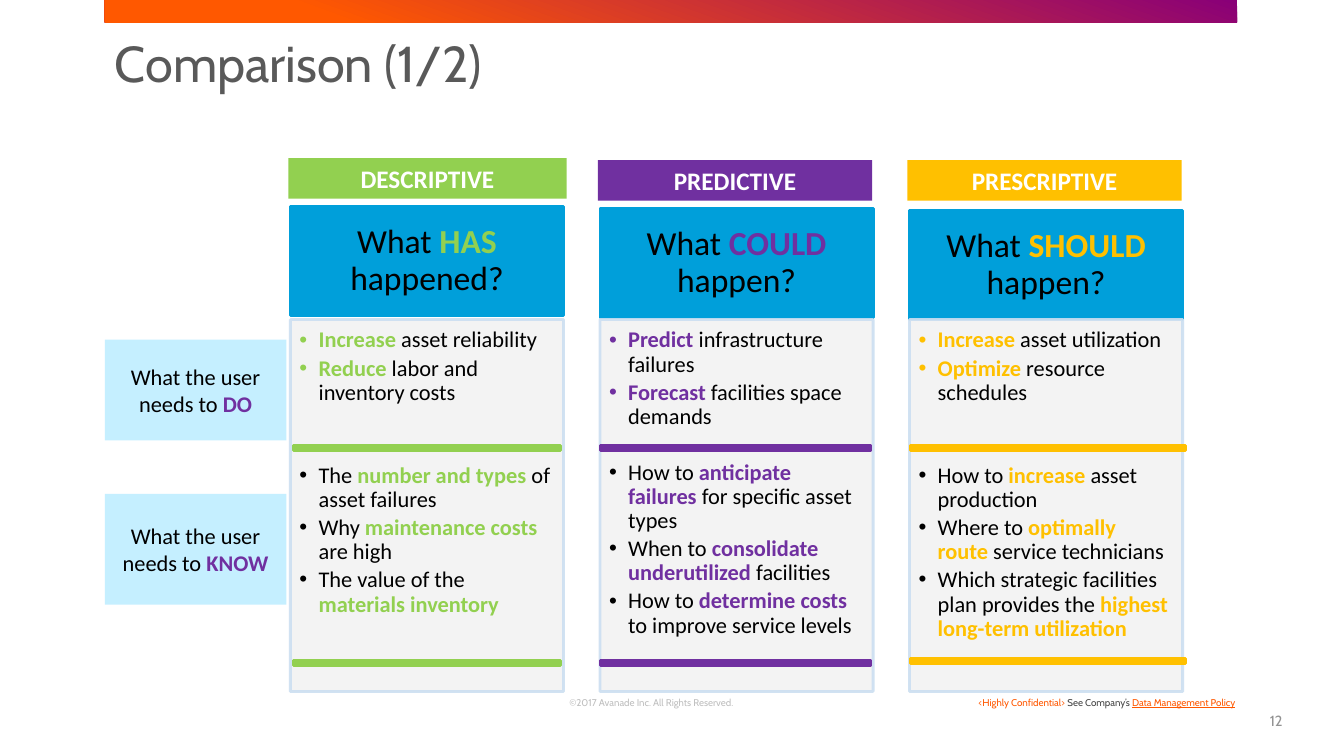
from pptx import Presentation
from pptx.dml.color import RGBColor
from pptx.enum.shapes import MSO_SHAPE
from pptx.enum.text import MSO_ANCHOR, PP_ALIGN
from pptx.oxml.ns import qn
from pptx.util import Inches, Pt
from lxml import etree

RECT = MSO_SHAPE.RECTANGLE
TOP, MIDDLE, BOTTOM = MSO_ANCHOR.TOP, MSO_ANCHOR.MIDDLE, MSO_ANCHOR.BOTTOM
LEFT, CENTER, RIGHT = PP_ALIGN.LEFT, PP_ALIGN.CENTER, PP_ALIGN.RIGHT

MARGIN, CONTENT_W = 1.04, 11.23
COL_X, COL_PITCH, COL_W = 2.88, 3.07, 2.71
PURPLE = "7030A0"

COLUMNS = [
    dict(name="DESCRIPTIVE", color="92D050", question="What *HAS* happened?",
         label=(1.57, 2.76), bar=(0.03, 2.65), bar_rows=(4.42, 6.55), gap=39,
         do=["*Increase* asset reliability", "*Reduce* labor and inventory costs"],
         know=["The *number and types* of asset failures",
               "Why *maintenance costs* are high",
               "The value of the *materials inventory*"]),
    dict(name="PREDICTIVE", color=PURPLE, question="What *COULD* happen?",
         label=(1.59, 2.72), bar=(0.01, 2.68), bar_rows=(4.42, 6.55), gap=19.5,
         do=["*Predict* infrastructure failures",
             "*Forecast* facilities space demands"],
         know=["How to *anticipate failures* for specific asset types",
               "When to *consolidate underutilized* facilities",
               "How to *determine costs* to improve service levels"]),
    dict(name="PRESCRIPTIVE", color="FFC000", question="What *SHOULD* happen?",
         label=(1.59, 2.72), bar=(0.01, 2.73), bar_rows=(4.42, 6.53), gap=39,
         do=["*Increase* asset utilization", "*Optimize* resource schedules"],
         know=["How to *increase* asset production",
               "Where to *optimally route* service technicians",
               "Which strategic facilities plan provides the "
               "*highest long-term utilization*"]),
]
USER_NEEDS = [("What the user needs to *DO*", 3.37, 1.0),
              ("What the user needs to *KNOW*", 4.9, 1.1)]


def rgb(value):
    return RGBColor.from_string(value)


def set_alpha(color_format_parent, percent):
    """Make the solid colour inside an XML element partly transparent."""
    color = color_format_parent.find(qn("a:solidFill"))[0]
    etree.SubElement(color, qn("a:alpha"), val=str(percent * 1000))


def add_rect(slide, x, y, w, h, fill, line=None):
    sp = slide.shapes.add_shape(RECT, Inches(x), Inches(y), Inches(w), Inches(h))
    sp.shadow.inherit = False
    sp.fill.solid()
    sp.fill.fore_color.rgb = rgb(fill)
    if line:
        sp.line.color.rgb = rgb(line)
        sp.line.width = Pt(2)
    else:
        sp.line.fill.background()
    return sp


def frame(sp, anchor=TOP, insets=(0.1, 0.05, 0.1, 0.05)):
    tf = sp.text_frame
    tf.word_wrap = True
    tf.vertical_anchor = anchor
    sides = ("left", "top", "right", "bottom")
    for side, inset in zip(sides, insets):
        setattr(tf, f"margin_{side}", Inches(inset))
    return tf


def add_run(p, text, size, color, font="Calibri", bold=False, underline=False):
    r = p.add_run()
    r.text = text
    for key, value in dict(name=font, size=Pt(size), bold=bold,
                           underline=underline).items():
        setattr(r.font, key, value)
    r.font.color.rgb = rgb(color)


def add_marked(p, text, size, accent):
    """Write text whose *starred* parts are bold in the accent colour."""
    for i, part in enumerate(text.split("*")):
        if part:
            add_run(p, part, size, accent if i % 2 else "000000", bold=bool(i % 2))


def format_paragraph(p, **values):
    for key, value in values.items():
        setattr(p, key, value)


def add_bullet(p):
    pPr = p._p.get_or_add_pPr()
    pPr.set("marL", str(Inches(0.19)))
    pPr.set("indent", str(-Inches(0.19)))
    etree.SubElement(pPr, qn("a:buFont"), typeface="Arial")
    etree.SubElement(pPr, qn("a:buChar"), char="•")


def add_banner(slide):
    sp = add_rect(slide, MARGIN, 0, CONTENT_W, 0.22, "FF5800")
    sp.fill.gradient()
    sp.fill.gradient_angle = 250
    for stop, color, position in zip(sp.fill.gradient_stops,
                                     ("890078", "FF5800"), (0, 0.8)):
        stop.color.rgb = rgb(color)
        stop.position = position


def add_title(slide, text):
    title = slide.shapes.title
    for key, value in dict(left=MARGIN, top=0.34, width=CONTENT_W,
                           height=1.09).items():
        setattr(title, key, Inches(value))
    p = frame(title).paragraphs[0]
    format_paragraph(p, alignment=LEFT, line_spacing=0.9)
    add_run(p, text, 36, "595959", "Cabin")


def add_small_text(slide, box, runs, size, align, **frame_values):
    sp = slide.shapes.add_textbox(*(Inches(v) for v in box))
    p = frame(sp, **frame_values).paragraphs[0]
    p.alignment = align
    for text, color, underline in runs:
        add_run(p, text, size, color, "Cabin", underline=underline)


def add_findings(slide, x, column):
    """Draw the column's panel with its DO bullets, then its KNOW bullets."""
    sp = add_rect(slide, x, 3.17, COL_W, 3.69, "F2F2F2", "CCDFF1")
    set_alpha(sp._element.spPr, 90)
    set_alpha(sp.line._get_or_add_ln(), 90)
    tf = frame(sp, insets=(0.09, 0.09, 0.12, 0.14))
    for i, text in enumerate(column["do"] + column["know"]):
        p = tf.add_paragraph() if i else tf.paragraphs[0]
        format_paragraph(p, alignment=LEFT, line_spacing=0.9, space_after=Pt(2.9))
        if i == len(column["do"]):
            p.space_before = Pt(column["gap"])
        add_bullet(p)
        add_marked(p, text, 16, column["color"])


def add_column(slide, index, column):
    x, color = COL_X + index * COL_PITCH, column["color"]
    label_y, label_w = column["label"]
    label = add_rect(slide, x - 0.02, label_y, label_w, 0.4, color)
    p = frame(label).paragraphs[0]
    p.alignment = CENTER
    add_run(p, column["name"], 18, "FFFFFF", bold=True)

    header = add_rect(slide, x, 2.05 + index * 0.02, COL_W, 1.08, "009FDA", "009FDA")
    p = frame(header, MIDDLE, (0.19, 0.11, 0.19, 0.11)).paragraphs[0]
    format_paragraph(p, alignment=CENTER, line_spacing=0.9)
    add_marked(p, column["question"], 24, color)

    add_findings(slide, x, column)
    bar_dx, bar_w = column["bar"]
    for y in column["bar_rows"]:
        add_rect(slide, x + bar_dx, y, bar_w, 0.05, color, color)


def add_user_need(slide, text, y, h):
    p = frame(add_rect(slide, MARGIN, y, 1.8, h, "C5EFFF"), MIDDLE).paragraphs[0]
    p.alignment = CENTER
    add_marked(p, text, 16, PURPLE)


def main():
    prs = Presentation()
    prs.slide_width, prs.slide_height = Inches(13.33), Inches(7.5)
    slide = prs.slides.add_slide(prs.slide_layouts[5])
    add_banner(slide)
    add_title(slide, "Comparison (1/2)")
    for index, column in enumerate(COLUMNS):
        add_column(slide, index, column)
    for need in USER_NEEDS:
        add_user_need(slide, *need)
    add_small_text(slide, (5.1, 6.85, 2.72, 0.18),
                   [("©2017 Avanade Inc. All Rights Reserved.", "BFBFBF", False)],
                   7, CENTER, anchor=BOTTOM, insets=(0, 0, 0, 0))
    add_small_text(slide, (9.31, 6.86, 3.04, 0.22),
                   [("<Highly Confidential> ", "FF5800", False),
                    ("See Company’s ", "464646", False),
                    ("Data Management Policy", "FF5800", True)], 7, RIGHT)
    add_small_text(slide, (12.28, 6.95, 0.54, 0.4), [("12", "939393", False)],
                   10.5, RIGHT, anchor=MIDDLE)
    prs.save("out.pptx")


if __name__ == "__main__":
    main()
